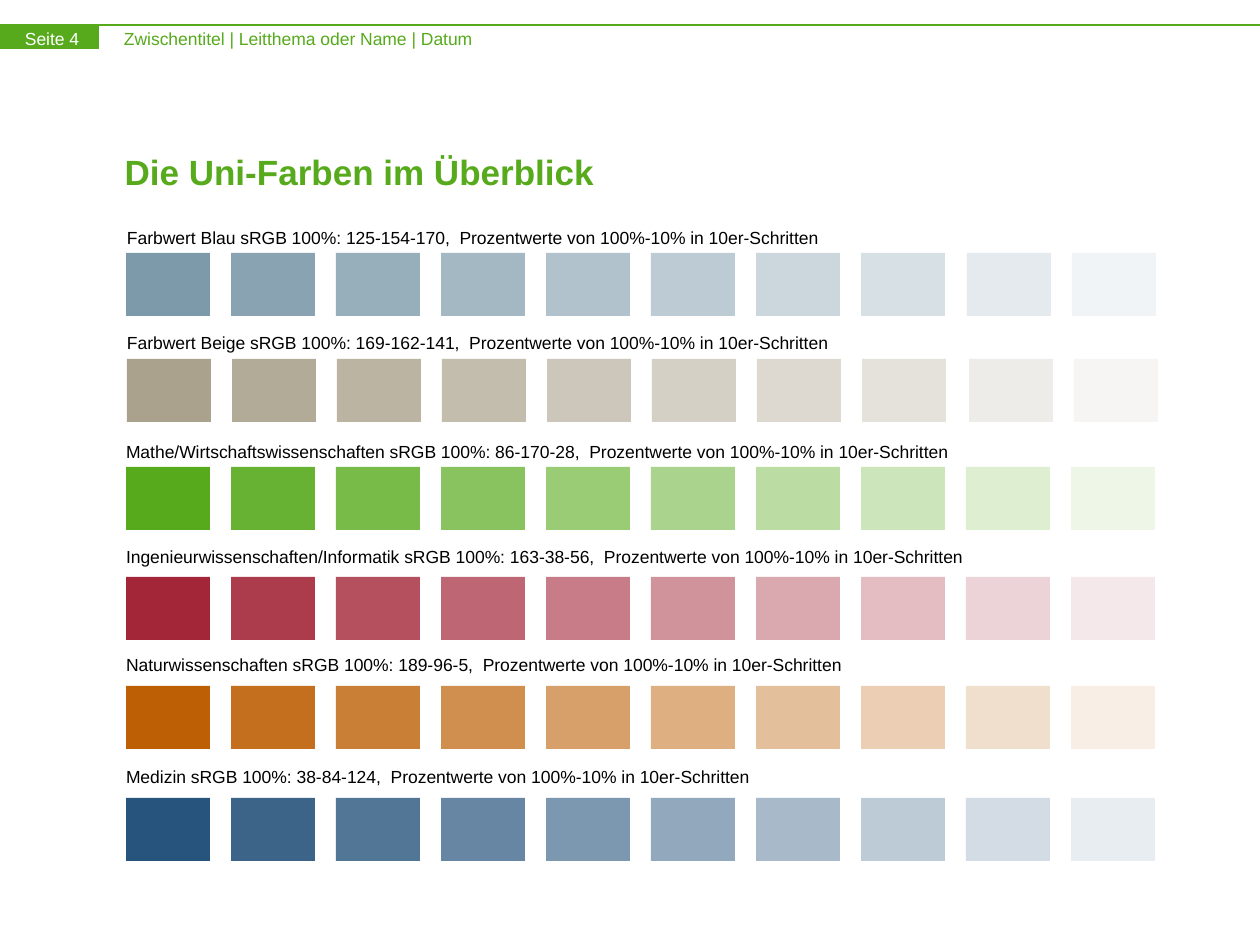
"""Build the overview slide of the university colours in ten tints each."""
from lxml import etree
from pptx import Presentation
from pptx.dml.color import RGBColor
from pptx.enum.shapes import MSO_CONNECTOR, MSO_SHAPE
from pptx.enum.text import MSO_ANCHOR, PP_ALIGN
from pptx.oxml.ns import qn
from pptx.util import Pt

RECT = MSO_SHAPE.RECTANGLE
LINE = MSO_CONNECTOR.STRAIGHT
LEFT = PP_ALIGN.LEFT
TOP, MIDDLE = MSO_ANCHOR.TOP, MSO_ANCHOR.MIDDLE
SCALE = 914400 / 126
WIDTH, HEIGHT = 1260, 945
TINTS = 10
STEP, BOX_W, BOX_H = 105, 84, 63

COLORS = {
    "brand": "56AA1C", "white": "FFFFFF", "black": "000000",
    "blue": "7D9AAA", "beige": "AAA28D", "green": "57AA1C",
    "red": "A32638", "orange": "BD6005", "navy": "26547C",
}

ROWS = [
    ("blue", "Farbwert Blau sRGB 100%: 125-154-170", 127, 224, 126, 253, 1),
    ("beige", "Farbwert Beige sRGB 100%: 169-162-141", 127, 329, 127, 359, 2),
    ("green", "Mathe/Wirtschaftswissenschaften sRGB 100%: 86-170-28", 126, 438, 126, 467, 0),
    ("red", "Ingenieurwissenschaften/Informatik sRGB 100%: 163-38-56", 126, 543, 126, 577, 0),
    ("orange", "Naturwissenschaften sRGB 100%: 189-96-5", 126, 651, 126, 686, 0),
    ("navy", "Medizin sRGB 100%: 38-84-124", 126, 763, 126, 798, 0),
]
SUFFIX = ",  Prozentwerte von 100%-10% in 10er-Schritten"


def px(*sizes):
    """Turn pixels into EMU."""
    return [round(size * SCALE) for size in sizes]


class Deck:
    """Hold the style and the current slide."""

    font = "Arial"

    def __init__(self):
        """Start a deck with one title-only slide."""
        self.prs = Presentation()
        self.prs.slide_width, self.prs.slide_height = px(WIDTH, HEIGHT)
        self.slide = self.prs.slides.add_slide(self.prs.slide_layouts[5])

    def color(self, name):
        """Return the named colour."""
        return RGBColor.from_string(COLORS[name])

    def label(self, shape, text, size, color, bold=False, lead=None):
        """Put one styled paragraph into a shape."""
        frame = shape.text_frame
        frame.word_wrap = True
        para = frame.paragraphs[0]
        para.text = text
        para.alignment = LEFT
        if lead:
            para.line_spacing = Pt(lead)
        font = para.font
        font.name, font.size, font.bold = self.font, Pt(size), bold
        font.color.rgb = self.color(color)
        return frame

    def title(self, text, *box):
        """Move and fill the title placeholder."""
        shape = self.slide.shapes.title
        shape.left, shape.top, shape.width, shape.height = px(*box)
        frame = self.label(shape, text, 20, "brand", True, 24)
        frame.vertical_anchor = MIDDLE

    def text(self, text, color, *box, lead=None):
        """Add a text box without insets."""
        shape = self.slide.shapes.add_textbox(*px(*box))
        frame = self.label(shape, text, 10, color, lead=lead)
        frame.margin_left = frame.margin_right = 0
        frame.margin_top = frame.margin_bottom = 0
        frame.vertical_anchor = TOP

    def rect(self, color, *box, alpha=100):
        """Add a plain rectangle with an opacity in percent."""
        shape = self.slide.shapes.add_shape(RECT, *px(*box))
        shape.shadow.inherit = False
        shape.line.fill.background()
        shape.fill.solid()
        shape.fill.fore_color.rgb = self.color(color)
        if alpha < 100:
            tone = shape._element.spPr.find(".//" + qn("a:srgbClr"))
            etree.SubElement(tone, qn("a:alpha"), val=str(alpha * 1000))

    def line(self, color, *ends):
        """Add a thin straight line."""
        rule = self.slide.shapes.add_connector(LINE, *px(*ends))
        rule.line.color.rgb = self.color(color)
        rule.line.width = Pt(0.75)
        etree.SubElement(rule._element.spPr, qn("a:effectLst"))

    def scale(self, color, left, top, shift):
        """Add a row of tints, the last two shifted to the right."""
        for col in range(TINTS):
            x = left + col * STEP + (shift if col >= TINTS - 2 else 0)
            self.rect(color, x, top, BOX_W, BOX_H, alpha=100 - col * 10)


def main():
    """Build and save the slide."""
    deck = Deck()
    deck.line("brand", 0, 25, WIDTH, 25)
    deck.rect("brand", 0, 25, 99, 24)
    deck.text("Zwischentitel | Leitthema oder Name | Datum", "brand", 124, 28, 832, 21)
    deck.text("Seite 4", "white", 25, 28, 78, 21)
    deck.title("Die Uni-Farben im Überblick", 112, 126, 1075, 91)
    for color, label, text_x, text_y, left, top, shift in ROWS:
        deck.text(label + SUFFIX, "black", text_x, text_y, 1092, 24, lead=14)
        deck.scale(color, left, top, shift)
    deck.prs.save("out.pptx")


if __name__ == "__main__":
    main()
